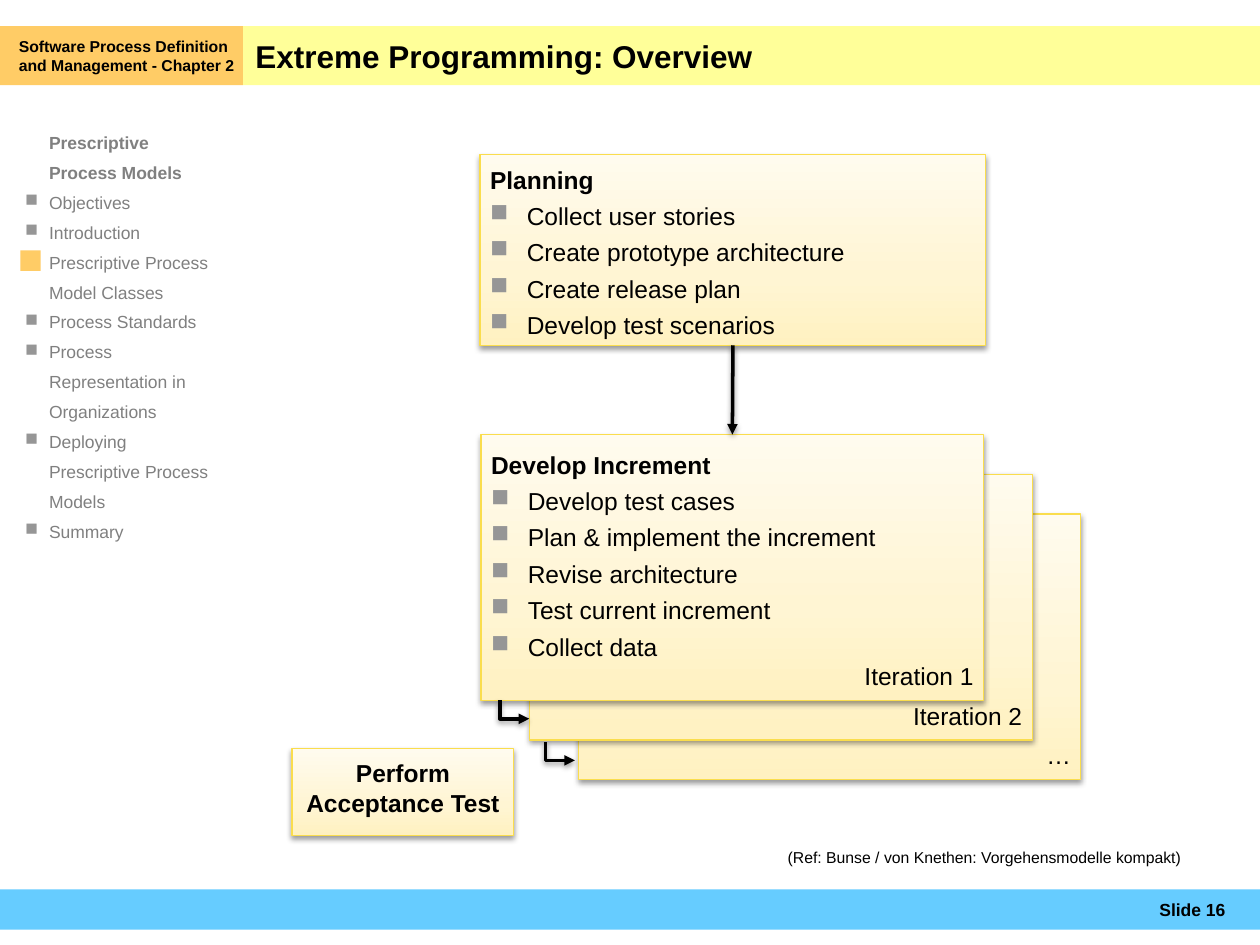
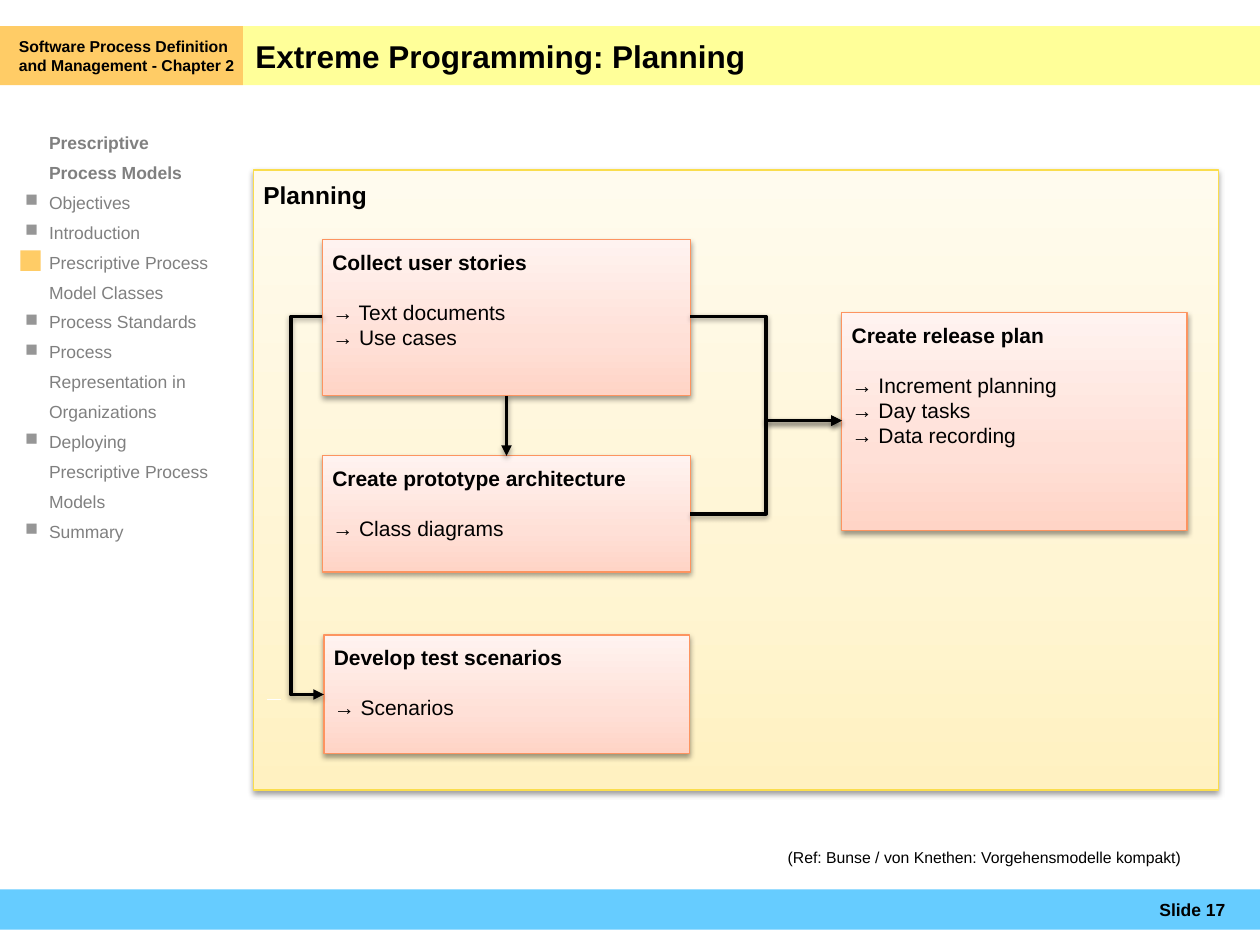
"""Build two lecture slides on Extreme Programming: the overview and the planning phase."""
from copy import deepcopy

from pptx import Presentation
from pptx.dml.color import RGBColor
from pptx.enum.shapes import MSO_CONNECTOR, MSO_SHAPE
from pptx.enum.text import MSO_ANCHOR, PP_ALIGN
from pptx.oxml import parse_xml
from pptx.oxml.ns import nsdecls, qn
from pptx.util import Cm, Pt

BLACK = RGBColor(0x00, 0x00, 0x00)
WHITE = RGBColor(0xFF, 0xFF, 0xFF)
GREY = RGBColor(0x80, 0x80, 0x80)
BLUE = RGBColor(0x66, 0xCC, 0xFF)
YELLOW = RGBColor(0xFF, 0xFF, 0x99)
ORANGE = RGBColor(0xFF, 0xCC, 0x66)
GOLD_LINE = RGBColor(0xFA, 0xDD, 0x4D)
GOLD_FADE = (RGBColor(0xFF, 0xF1, 0xC1), RGBColor(0xFF, 0xF5, 0xD3), RGBColor(0xFF, 0xFB, 0xEE))
CORAL_LINE = RGBColor(0xFD, 0x94, 0x60)
CORAL_FADE = (RGBColor(0xFF, 0xD4, 0xC6), RGBColor(0xFF, 0xE0, 0xD7), RGBColor(0xFF, 0xF3, 0xF0))

BULLET = (
    f'<a:buClr {nsdecls("a")}><a:srgbClr val="969696"/></a:buClr>',
    f'<a:buChar {nsdecls("a")} char="■"/>',
)
SHADOW = (
    f'<a:outerShdw {nsdecls("a")} blurRad="40000" dist="20000" dir="5400000" rotWithShape="0">'
    '<a:srgbClr val="000000"><a:alpha val="38000"/></a:srgbClr></a:outerShdw>'
)
ARROWHEAD = f'<a:tailEnd {nsdecls("a")} type="triangle"/>'

LEFT = {"alignment": PP_ALIGN.LEFT}
RIGHT = {"alignment": PP_ALIGN.RIGHT}
CENTER = {"alignment": PP_ALIGN.CENTER}
SPACED = {**LEFT, "space_before": Pt(4)}
AFTER_HEADING = {**LEFT, "space_before": Pt(14)}
LOOSE = {**LEFT, "line_spacing": 1.42}
STYLES = {
    "title": {"font": {"size": Pt(18), "bold": True}},
    "chapter": {"font": {"size": Pt(9), "bold": True}},
    "number": {"font": {"size": Pt(10), "bold": True}, "para": RIGHT},
    "reference": {"font": {"size": Pt(9)}},
    "topic": {"font": {"size": Pt(10), "bold": True}, "para": LOOSE, "margin": 0.48, "color": GREY},
    "subtopic": {"font": {"size": Pt(10)}, "para": LOOSE, "margin": 0.48, "bullet": True, "color": GREY},
    "heading": {"font": {"size": Pt(14), "bold": True}},
    "centered": {"font": {"size": Pt(14), "bold": True}, "para": CENTER},
    "activity": {"font": {"size": Pt(14)}, "para": SPACED, "margin": 0.74, "bullet": True},
    "iteration": {"font": {"size": Pt(14)}, "para": RIGHT},
    "card heading": {"font": {"size": Pt(12), "bold": True}},
    "first result": {"font": {"size": Pt(12)}, "para": AFTER_HEADING},
    "result": {"font": {"size": Pt(12)}},
}
SIDEBAR = [("Prescriptive Process Models", "topic")] + [
    (name, "subtopic")
    for name in (
        "Objectives",
        "Introduction",
        "Prescriptive Process Model Classes",
        "Process Standards",
        "Process Representation in Organizations",
        "Deploying Prescriptive Process Models",
        "Summary",
    )
]
GOLD = {"fill": GOLD_FADE, "outline": GOLD_LINE}
CORAL = {"fill": CORAL_FADE, "outline": CORAL_LINE}


def add_box(page, frame, lines=(), fill=None, outline=None, margins=(0.2, 0.2, 0.2, 0.2), anchor=MSO_ANCHOR.TOP):
    """Add a text box, a plain band or a shaded card, given in centimetres."""
    place = [Cm(length) for length in frame]
    if fill is None:
        box = page.shapes.add_textbox(*place)
    else:
        box = page.shapes.add_shape(MSO_SHAPE.RECTANGLE, *place)
        box.shadow.inherit = False
    if outline is not None:
        box.fill.gradient()
        box.fill.gradient_angle = 90
        stop_list = box._element.spPr.find(".//" + qn("a:gsLst"))
        stop_list.append(deepcopy(stop_list[0]))
        for stop, position, color in zip(box.fill.gradient_stops, (0, 0.35, 1), fill):
            stop.position = position
            stop.color.rgb = color
        box.line.color.rgb = outline
        box.line.width = Pt(0.75)
        box._element.spPr.find(qn("a:effectLst")).append(parse_xml(SHADOW))
    elif fill is not None:
        box.fill.solid()
        box.fill.fore_color.rgb = fill
        box.line.fill.background()
    frame_format = {"word_wrap": True, "vertical_anchor": anchor}
    for side, margin in zip(("left", "top", "right", "bottom"), margins):
        frame_format[f"margin_{side}"] = Cm(margin)
    for key, value in frame_format.items():
        setattr(box.text_frame, key, value)
    for index, (text, style_name) in enumerate(lines):
        style = STYLES[style_name]
        para = box.text_frame.add_paragraph() if index else box.text_frame.paragraphs[0]
        properties = para._p.get_or_add_pPr()
        margin = Cm(style.get("margin", 0))
        properties.set("marL", str(margin))
        properties.set("indent", str(-margin if "bullet" in style else 0))
        if "bullet" in style:
            for element in BULLET:
                properties.append(parse_xml(element))
        for key, value in style.get("para", LEFT).items():
            setattr(para, key, value)
        span = para.add_run()
        span.text = text
        for key, value in {"name": "Arial", **style["font"]}.items():
            setattr(span.font, key, value)
        span.font.color.rgb = style.get("color", BLACK)
    return box


def finish_line(line, color=BLACK, width=2, arrow=True):
    """Give a connector or an open outline its stroke, shadow and arrowhead."""
    line.line.color.rgb = color
    line.line.width = Pt(width)
    properties = line._element.spPr
    effects = parse_xml(f'<a:effectLst {nsdecls("a")}/>')
    properties.append(effects)
    if arrow:
        effects.append(parse_xml(SHADOW))
        properties.find(qn("a:ln")).append(parse_xml(ARROWHEAD))


deck = Presentation()
deck.slide_width, deck.slide_height = Cm(25.4), Cm(19.05)

pages = []
for number, title in enumerate(("Extreme Programming: Overview", "Extreme Programming: Planning"), 16):
    page = deck.slides.add_slide(deck.slide_layouts[6])
    middle = MSO_ANCHOR.MIDDLE
    add_box(page, (0, 17.93, 25.4, 0.81), fill=BLUE)
    add_box(page, (0.51, 2.49, 3.81, 15), SIDEBAR, margins=(0, 0, 0, 0))
    add_box(page, (4.9, 0.53, 20.5, 1.19), [(title, "title")], YELLOW, margins=(0.25, 0.13, 0.25, 0.13), anchor=middle)
    chapter = [("Software Process Definition and Management - Chapter 2", "chapter")]
    add_box(page, (0, 0.53, 4.9, 1.19), chapter, ORANGE, margins=(0.38, 0.13, 0.1, 0.13), anchor=middle)
    add_box(page, (22.1, 17.93, 2.6, 0.81), [(f"Slide {number}", "number")], margins=(0, 0.1, 0, 0.1), anchor=middle)
    reference = [("(Ref: Bunse / von Knethen: Vorgehensmodelle kompakt)", "reference")]
    add_box(page, (15.88, 17.1, 8.69, 0.38), reference, margins=(0, 0, 0, 0))
    add_box(page, (0.41, 5.05, 0.41, 0.41), fill=ORANGE)
    pages.append(page)
overview, planning = pages

planning_steps = ("Collect user stories", "Create prototype architecture", "Create release plan", "Develop test scenarios")
planning_lines = [("Planning", "heading")] + [(step, "activity") for step in planning_steps]
planning_box = add_box(overview, (9.68, 3.12, 10.19, 3.84), planning_lines, **GOLD)

increment_steps = (
    "Develop test cases",
    "Plan & implement the increment",
    "Revise architecture",
    "Test current increment",
    "Collect data",
)
increment_lines = [("Develop Increment", "heading")] + [(step, "activity") for step in increment_steps]
iterations = ([("…", "iteration")], [("Iteration 2", "iteration")], increment_lines + [("Iteration 1", "iteration")])
for depth, lines in zip((2, 1, 0), iterations):
    frame = (9.7 + 0.98 * depth, 8.76 + 0.8 * depth, 10.13, 5.36)
    increment_box = add_box(overview, frame, lines, anchor=MSO_ANCHOR.BOTTOM, **GOLD)

add_box(overview, (5.89, 15.09, 4.47, 1.75), [("Perform Acceptance Test", "centered")], **GOLD)

for left, top in ((10.08, 14.12), (11, 14.96)):
    builder = overview.shapes.build_freeform(Cm(left), Cm(top))
    corner = (Cm(left), Cm(top + 0.37))
    builder.add_line_segments([corner, (Cm(left + 0.59), corner[1])], close=False)
    next_iteration = builder.convert_to_shape()
    next_iteration.fill.background()
    finish_line(next_iteration)

add_box(planning, (5.11, 3.43, 19.46, 12.5), [("Planning", "heading")], **GOLD)
cards = (
    ((6.5, 4.83, 7.42, 3.15), "Collect user stories", ("Text documents", "Use cases")),
    ((6.5, 9.19, 7.42, 2.34), "Create prototype architecture", ("Class diagrams",)),
    ((6.53, 12.8, 7.37, 2.39), "Develop test scenarios", ("Scenarios",)),
    ((16.97, 6.3, 6.96, 4.39), "Create release plan", ("Increment planning", "Day tasks", "Data recording")),
)
card_boxes = []
for frame, heading, results in cards:
    lines = [(heading, "card heading")]
    for index, result in enumerate(results):
        lines.append((f"→ {result}", "result" if index else "first result"))
    card_boxes.append(add_box(planning, frame, lines, **CORAL))
stories_box, architecture_box = card_boxes[:2]

for page, upper, lower in ((overview, planning_box, increment_box), (planning, stories_box, architecture_box)):
    arrow = page.shapes.add_connector(MSO_CONNECTOR.STRAIGHT, 0, 0, 0, 0)
    arrow.begin_connect(upper, 2)
    arrow.end_connect(lower, 0)
    finish_line(arrow)

dash = planning.shapes.add_connector(MSO_CONNECTOR.STRAIGHT, Cm(5.38), Cm(14.1), Cm(5.66), Cm(14.1))
finish_line(dash, WHITE, 0.75, arrow=False)

elbows = (
    ((6.5, 6.38, 6.53, 14), -21),
    ((13.92, 6.38, 16.97, 8.48), 0.5),
    ((13.92, 10.36, 16.97, 8.48), 0.5),
)
for ends, bend in elbows:
    elbow = planning.shapes.add_connector(MSO_CONNECTOR.ELBOW, *[Cm(length) for length in ends])
    guide = f'<a:gd {nsdecls("a")} name="adj1" fmla="val {round(bend * 100000)}"/>'
    elbow._element.spPr.find(".//" + qn("a:avLst")).append(parse_xml(guide))
    finish_line(elbow)

deck.save("out.pptx")
